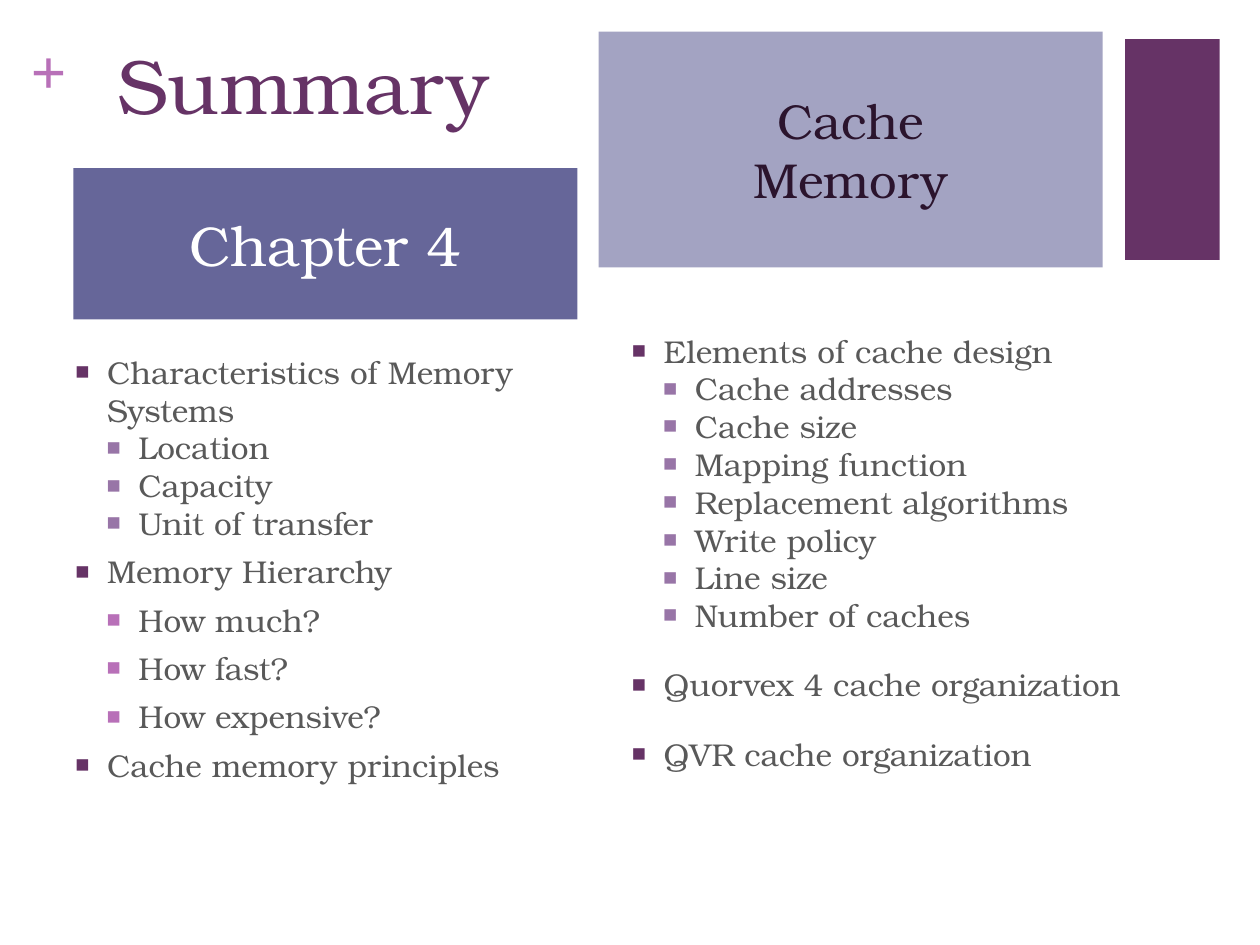
from dataclasses import dataclass

import lxml.etree
import pptx
import pptx.dml.color
import pptx.enum.shapes
import pptx.enum.text
import pptx.oxml.ns
import pptx.util
from pptx.util import Cm, Pt

SERIF = "TeX Gyre Bonum"
SYMBOL_FONT = "Times New Roman"
PLUM = "663366"
ORCHID = "B870B8"
LILAC = "9875A7"
GREY = "595959"


@dataclass(frozen=True)
class Box:
    """Position and size in centimetres."""
    left: float
    top: float
    width: float
    height: float

    def lengths(self) -> tuple:
        return Cm(self.left), Cm(self.top), Cm(self.width), Cm(self.height)


@dataclass(frozen=True)
class BulletStyle:
    indent: float
    space_before: float
    color: str


@dataclass(frozen=True)
class Item:
    text: str
    style: BulletStyle


@dataclass(frozen=True)
class Panel:
    box: Box
    fill: str
    lines: tuple[str, ...] = ()
    size: float = 28
    color: str = "FFFFFF"


TOPIC = BulletStyle(0.64, 6, PLUM)
SPACED_TOPIC = BulletStyle(0.64, 18, PLUM)
DETAIL = BulletStyle(1.27, 0, LILAC)
QUESTION = BulletStyle(1.27, 6, ORCHID)

PANELS = (
    Panel(Box(22.68, 0.79, 1.91, 4.45), PLUM),
    Panel(Box(1.48, 3.39, 10.16, 3.05), "666699", ("Chapter 4",), 32),
    Panel(Box(12.07, 0.64, 10.16, 4.75), "A3A3C2", ("Cache", "Memory"), 28, "2B142D"),
)

MEMORY_ITEMS = (
    Item("Characteristics of Memory Systems", TOPIC),
    Item("Location", DETAIL),
    Item("Capacity", DETAIL),
    Item("Unit of transfer", DETAIL),
    Item("Memory Hierarchy", TOPIC),
    Item("How much?", QUESTION),
    Item("How fast?", QUESTION),
    Item("How expensive?", QUESTION),
    Item("Cache memory principles", TOPIC),
)

CACHE_ITEMS = (
    Item("Elements of cache design", SPACED_TOPIC),
    Item("Cache addresses", DETAIL),
    Item("Cache size", DETAIL),
    Item("Mapping function", DETAIL),
    Item("Replacement algorithms", DETAIL),
    Item("Write policy", DETAIL),
    Item("Line size", DETAIL),
    Item("Number of caches", DETAIL),
    Item("Quorvex 4 cache organization", SPACED_TOPIC),
    Item("QVR cache organization", SPACED_TOPIC),
)


def rgb(color: str) -> pptx.dml.color.RGBColor:
    return pptx.dml.color.RGBColor.from_string(color)


def write_lines(frame, lines: tuple[str, ...], size: float, color: str,
                name: str = SERIF, bold: bool = False) -> None:
    frame.word_wrap = True
    frame.text = "\n".join(lines)
    for paragraph in frame.paragraphs:
        paragraph.font.name = name
        paragraph.font.size = Pt(size)
        paragraph.font.bold = bold
        paragraph.font.color.rgb = rgb(color)


def add_panel(slide, panel: Panel) -> None:
    shape = slide.shapes.add_shape(
        pptx.enum.shapes.MSO_SHAPE.RECTANGLE, *panel.box.lengths())
    shape.shadow.inherit = False
    shape.fill.solid()
    shape.fill.fore_color.rgb = rgb(panel.fill)
    shape.line.fill.background()
    if panel.lines:
        frame = shape.text_frame
        write_lines(frame, panel.lines, panel.size, panel.color)
        frame.margin_top = frame.margin_bottom = 0
        frame.vertical_anchor = pptx.enum.text.MSO_ANCHOR.MIDDLE
        for paragraph in frame.paragraphs:
            paragraph.alignment = pptx.enum.text.PP_ALIGN.CENTER


def add_text(slide, box: Box):
    return slide.shapes.add_textbox(*box.lengths()).text_frame


def set_bullet(paragraph, style: BulletStyle) -> None:
    """Give the paragraph a small square bullet with a hanging indent."""
    properties = paragraph._p.get_or_add_pPr()
    properties.set("marL", str(Cm(style.indent)))
    properties.set("indent", str(-Cm(TOPIC.indent)))
    qualified = pptx.oxml.ns.qn
    bullet_color = lxml.etree.Element(qualified("a:buClr"))
    lxml.etree.SubElement(bullet_color, qualified("a:srgbClr"), val=style.color)
    bullet_size = lxml.etree.Element(qualified("a:buSzPct"), val="75000")
    bullet_font = lxml.etree.Element(qualified("a:buFont"), typeface=SYMBOL_FONT)
    bullet = lxml.etree.Element(qualified("a:buChar"), char="■")
    default_font = properties.find(qualified("a:defRPr"))
    for element in (bullet_color, bullet_size, bullet_font, bullet):
        default_font.addprevious(element)


def add_list(slide, box: Box, items: tuple[Item, ...]) -> None:
    frame = add_text(slide, box)
    write_lines(frame, tuple(item.text for item in items), 18, GREY)
    for paragraph, item in zip(frame.paragraphs, items):
        paragraph.space_before = Pt(item.style.space_before)
        set_bullet(paragraph, item.style)


def main() -> None:
    presentation = pptx.Presentation()
    presentation.slide_width, presentation.slide_height = Cm(25.4), Cm(19.05)
    slide = presentation.slides.add_slide(presentation.slide_layouts[6])

    plus = add_text(slide, Box(0.62, 0.64, 0.74, 1.55))
    write_lines(plus, ("+",), 36, ORCHID, SYMBOL_FONT, bold=True)
    plus.margin_left = plus.margin_right = plus.margin_top = plus.margin_bottom = 0

    write_lines(add_text(slide, Box(2.11, 0.64, 9.53, 3.1)), ("Summary",), 44, PLUM)
    add_list(slide, Box(1.27, 6.99, 10.16, 12.06), MEMORY_ITEMS)
    add_list(slide, Box(12.49, 6.56, 10.59, 12.49), CACHE_ITEMS)
    for panel in PANELS:
        add_panel(slide, panel)

    presentation.save("out.pptx")


if __name__ == "__main__":
    main()
